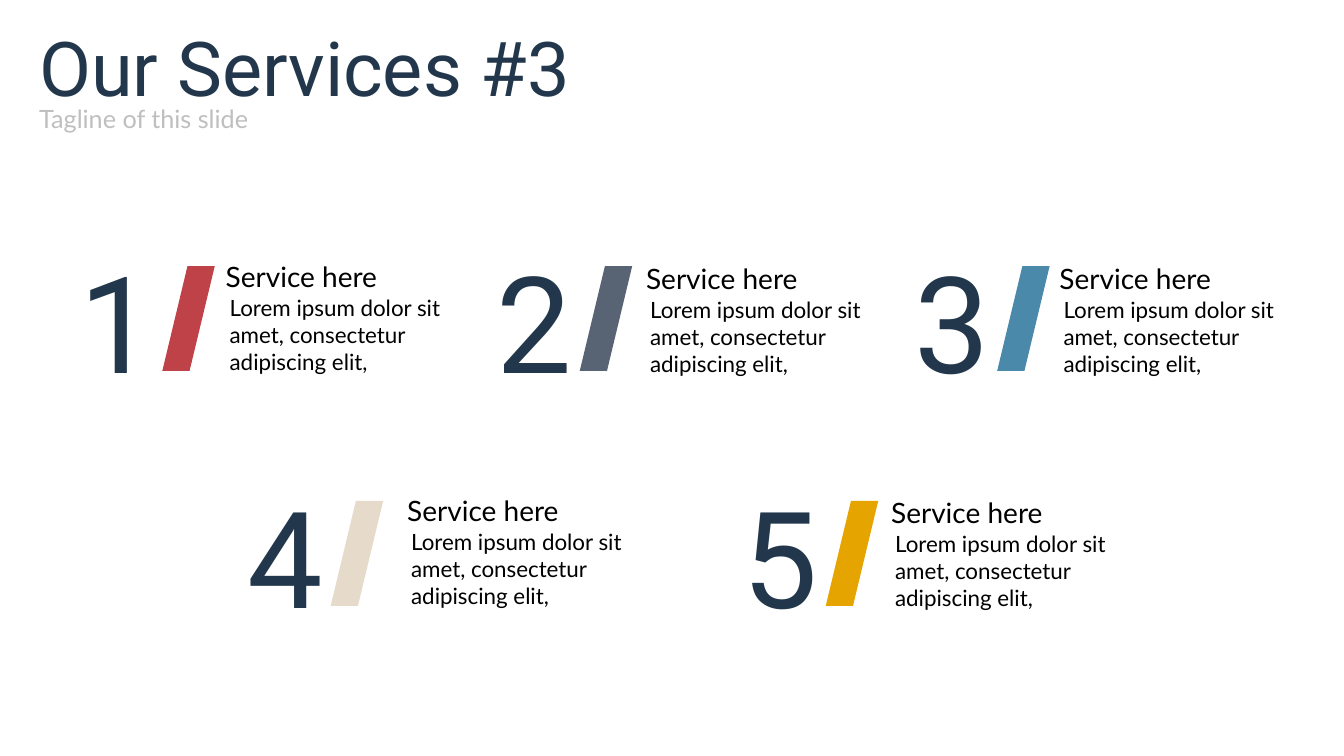
import pptx
import pptx.util
import pptx.dml.color
import pptx.enum.shapes
import pptx.enum.text

Inches = pptx.util.Inches
HUES = {
    "navy": "22374B", "gray": "BFBFBF", "black": "000000",
    "red": "BE4248", "slate": "586473", "blue": "4B89AA",
    "sand": "E6DACB", "gold": "E6A400",
}


def hue(name):
    return pptx.dml.color.RGBColor.from_string(HUES[name])


def write(box, text, size, font, color):
    """Fill a text box or placeholder with one left-aligned paragraph."""
    frame = box.text_frame
    frame.word_wrap = True
    frame.auto_size = pptx.enum.text.MSO_AUTO_SIZE.NONE
    frame.vertical_anchor = pptx.enum.text.MSO_ANCHOR.TOP
    frame.text = text
    para = frame.paragraphs[0]
    para.alignment = pptx.enum.text.PP_ALIGN.LEFT
    para.font.size = pptx.util.Pt(size)
    para.font.name = font
    para.font.color.rgb = hue(color)


deck = pptx.Presentation()
deck.slide_width, deck.slide_height = Inches(13.33), Inches(7.5)
slide = deck.slides.add_slide(deck.slide_layouts[5])

title = slide.shapes.title
title.left, title.top = Inches(0.29), Inches(0.16)
title.width, title.height = Inches(9.09), Inches(1.01)
write(title, "Our Services #3", 54, "Roboto", "navy")
tag = slide.shapes.add_textbox(Inches(0.29), Inches(0.98), Inches(5.46), Inches(0.4))
write(tag, "Tagline of this slide", 18, "Lato", "gray")

# Each row: top, first column, column step, then (color, text shift right, text shift down)
ROWS = [
    (2.32, 0.69, 4.14, [("red", 1.45, 0.21), ("slate", 1.48, 0.23), ("blue", 1.44, 0.23)]),
    (4.65, 2.36, 4.91, [("sand", 1.58, 0.2), ("gold", 1.47, 0.22)]),
]
BODY = "Lorem ipsum dolor sit amet, consectetur adipiscing elit,"

count = 0
for top, start, step, items in ROWS:
    for col, (color, right, down) in enumerate(items):
        count += 1
        left = start + col * step
        group = slide.shapes.add_group_shape()
        texts = [
            (0, 0, 1.12, 1.72, str(count), 96, "Roboto", "navy"),
            (right + 0.04, down + 0.34, 2.37, 0.91, BODY, 16, "Lato", "black"),
            (right, down, 2.37, 0.44, "Service here", 20, "Lato", "black"),
        ]
        for dx, dy, width, height, *style in texts:
            box = group.shapes.add_textbox(
                Inches(left + dx), Inches(top + dy), Inches(width), Inches(height))
            write(box, *style)
        bar = group.shapes.add_shape(
            pptx.enum.shapes.MSO_SHAPE.PARALLELOGRAM,
            Inches(left + 0.92), Inches(top + 0.32), Inches(0.52), Inches(1.04))
        bar.adjustments[0] = 0.48
        bar.shadow.inherit = False
        bar.fill.solid()
        bar.fill.fore_color.rgb = hue(color)
        bar.line.fill.background()

deck.save("out.pptx")
